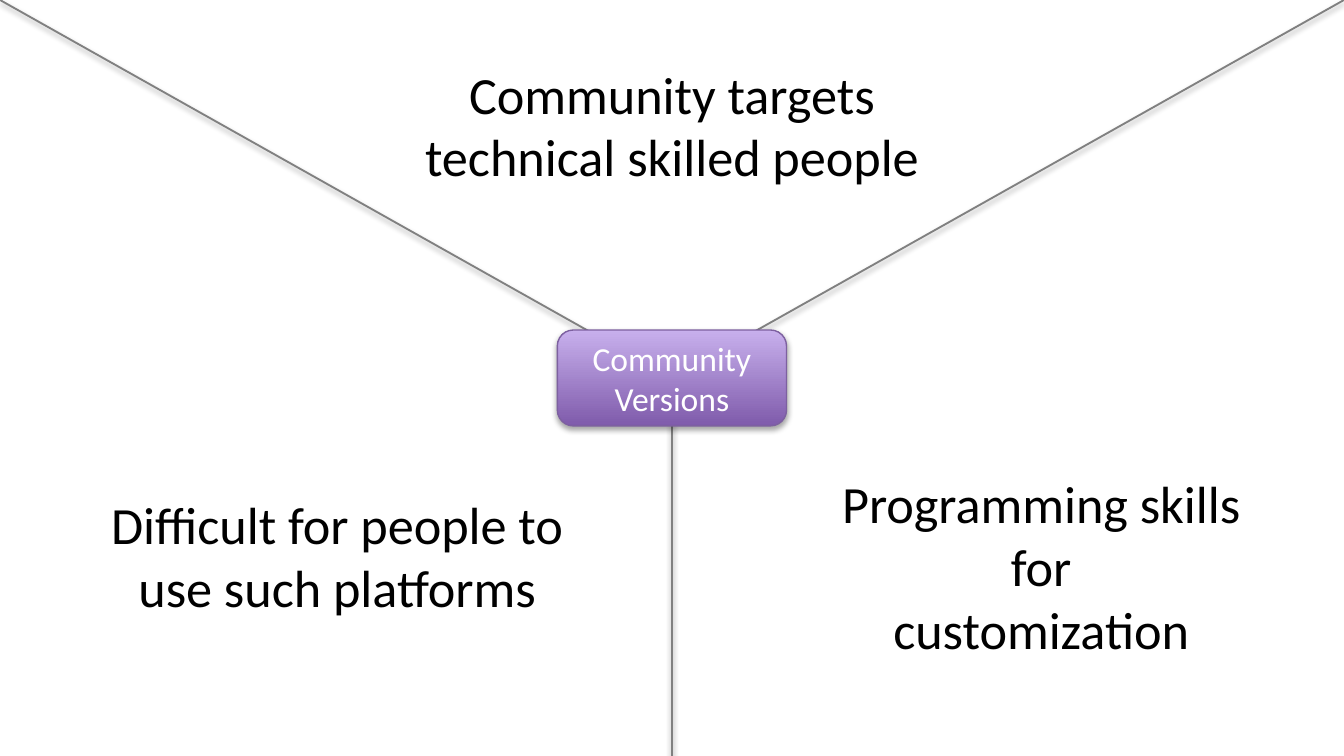
from typing import NamedTuple

from lxml import etree
from pptx import Presentation
from pptx.dml.color import RGBColor
from pptx.enum.shapes import MSO_CONNECTOR, MSO_SHAPE
from pptx.enum.text import MSO_ANCHOR, MSO_AUTO_SIZE, PP_ALIGN
from pptx.oxml.ns import qn
from pptx.util import Pt

STRAIGHT = MSO_CONNECTOR.STRAIGHT
ROUNDED = MSO_SHAPE.ROUNDED_RECTANGLE
MIDDLE = MSO_ANCHOR.MIDDLE
FIT_TEXT = MSO_AUTO_SIZE.SHAPE_TO_FIT_TEXT
CENTER = PP_ALIGN.CENTER

WHITE = RGBColor(0xFF, 0xFF, 0xFF)
BLACK = RGBColor(0, 0, 0)
GRAY = RGBColor(0x80, 0x80, 0x80)
PURPLE_DARK = RGBColor(0x7F, 0x5B, 0xAB)
PURPLE_LIGHT = RGBColor(0xC8, 0xB0, 0xED)
PURPLE_EDGE = RGBColor(0x7D, 0x60, 0xA0)

FONT = "Calibri"
WIDTH, HEIGHT = 720, 405
MID_X, MID_Y = WIDTH / 2, HEIGHT / 2
HUB_W, HUB_H = 122.8, 51.4


class Label(NamedTuple):
    lines: list[str]
    left: float
    top: float
    width: float
    height: float
    wrap: bool = False


SPOKE_ENDS = [(WIDTH, 0), (0, 0), (MID_X, HEIGHT)]
LABELS = [
    Label(["Programming skills", "for", "customization"], 442.6, 249.1, 230.4, 109),
    Label(["Community targets", "technical skilled people"], 219, 29.6, 282, 75),
    Label(["Difficult for people to use such platforms"], 31.8, 260.2, 297.5, 75, wrap=True),
]


def write_text(tf, lines: list[str], *, size: float, color: RGBColor) -> None:
    """Write one centred paragraph per line."""
    for i, line in enumerate(lines):
        p = tf.paragraphs[0] if i == 0 else tf.add_paragraph()
        p.alignment = CENTER
        r = p.add_run()
        r.text = line
        r.font.name = FONT
        r.font.size = Pt(size)
        r.font.color.rgb = color


def add_shadow(sp, *, distance: float, opacity: int) -> None:
    """Append a soft downward shadow; call after fill and line are set."""
    effects = etree.SubElement(sp._element.spPr, qn("a:effectLst"))
    shadow = etree.SubElement(
        effects, qn("a:outerShdw"), blurRad=str(Pt(3.1)), dist=str(Pt(distance)),
        dir="5400000", rotWithShape="0")
    color = etree.SubElement(shadow, qn("a:srgbClr"), val=str(BLACK))
    etree.SubElement(color, qn("a:alpha"), val=str(opacity * 1000))


def add_spoke(slide, x: float, y: float) -> None:
    sp = slide.shapes.add_connector(STRAIGHT, Pt(MID_X), Pt(MID_Y), Pt(x), Pt(y))
    sp.line.color.rgb = GRAY
    sp.line.width = Pt(1)
    add_shadow(sp, distance=1.6, opacity=38)


def add_hub(slide, lines: list[str]) -> None:
    sp = slide.shapes.add_shape(
        ROUNDED, Pt(MID_X - HUB_W / 2), Pt(MID_Y - HUB_H / 2), Pt(HUB_W), Pt(HUB_H))
    sp.fill.gradient()
    sp.fill.gradient_angle = 90
    for stop, color in zip(sp.fill.gradient_stops, (PURPLE_DARK, PURPLE_LIGHT)):
        stop.color.rgb = color
    sp.line.color.rgb = PURPLE_EDGE
    sp.line.width = Pt(0.75)
    add_shadow(sp, distance=1.8, opacity=35)
    sp.text_frame.vertical_anchor = MIDDLE
    write_text(sp.text_frame, lines, size=18, color=WHITE)


def add_label(slide, label: Label) -> None:
    sp = slide.shapes.add_textbox(
        Pt(label.left), Pt(label.top), Pt(label.width), Pt(label.height))
    tf = sp.text_frame
    tf.word_wrap = label.wrap
    tf.auto_size = FIT_TEXT
    write_text(tf, label.lines, size=28, color=BLACK)


def main() -> None:
    prs = Presentation()
    prs.slide_width, prs.slide_height = Pt(WIDTH), Pt(HEIGHT)
    slide = prs.slides.add_slide(prs.slide_layouts[6])

    # Spokes dividing the slide into three areas
    for x, y in SPOKE_ENDS:
        add_spoke(slide, x, y)

    # Central topic, covering the point where the spokes meet
    add_hub(slide, ["Community", "Versions"])

    # One statement per area
    for label in LABELS:
        add_label(slide, label)

    prs.save("out.pptx")


if __name__ == "__main__":
    main()
